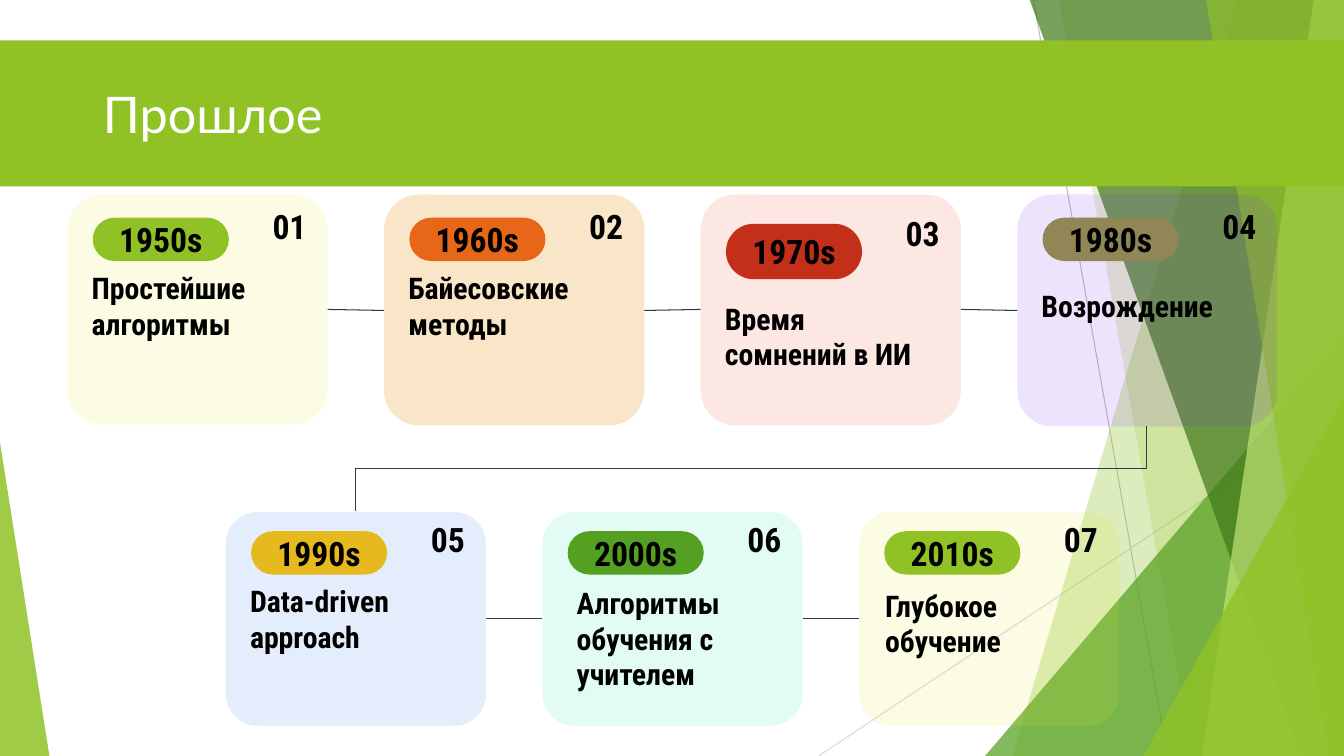
"""Build the timeline slide about the past of artificial intelligence."""
from typing import NamedTuple

from lxml.etree import SubElement
from pptx import Presentation
from pptx.dml.color import RGBColor
from pptx.enum.shapes import MSO_CONNECTOR, MSO_SHAPE
from pptx.enum.text import MSO_ANCHOR, MSO_AUTO_SIZE, PP_ALIGN
from pptx.oxml.ns import qn
from pptx.util import Pt

PX = 9144
WIDTH, HEIGHT = 1333, 750
CARD_WIDTH, CARD_STEP = 258, 314

LIME = RGBColor(0x90, 0xC2, 0x26)
GREEN = RGBColor(0x54, 0xA0, 0x21)
FOREST = RGBColor(0x3F, 0x78, 0x19)
PALE_LIME = RGBColor(0xC0, 0xE4, 0x74)
ORANGE = RGBColor(0xE7, 0x66, 0x18)
RED = RGBColor(0xC4, 0x2F, 0x1A)
OLIVE = RGBColor(0x91, 0x86, 0x55)
GOLD = RGBColor(0xE6, 0xB9, 0x1E)
YELLOW_TINT = RGBColor(0xE4, 0xEA, 0x27)
ORANGE_TINT = RGBColor(0xE9, 0x9B, 0x27)
RED_TINT = RGBColor(0xEA, 0x48, 0x27)
VIOLET_TINT = RGBColor(0x80, 0x27, 0xEA)
BLUE_TINT = RGBColor(0x27, 0x76, 0xEA)
MINT_TINT = RGBColor(0x26, 0xEA, 0xB8)
SLATE = RGBColor(0x2C, 0x3C, 0x43)
GRAY = RGBColor(0xBF, 0xBF, 0xBF)
LIGHT_GRAY = RGBColor(0xD9, 0xD9, 0xD9)
BLACK = RGBColor(0x00, 0x00, 0x00)
WHITE = RGBColor(0xFF, 0xFF, 0xFF)

TITLE_FONT = {"name": "Lato", "size": Pt(36), "bold": False}
LABEL_FONT = {"name": "Roboto Condensed", "size": Pt(24), "bold": True}
CAPTION_FONT = {**LABEL_FONT, "size": Pt(21.3)}
TITLE_FRAME = {"word_wrap": True, "auto_size": MSO_AUTO_SIZE.NONE,
               "vertical_anchor": MSO_ANCHOR.MIDDLE}
CARD_FRAME = {**TITLE_FRAME, **{f"margin_{side}": 13 * PX
                                for side in ("left", "top", "right", "bottom")}}


class Card(NamedTuple):
    """One decade of the timeline, with offsets from the card corner."""
    decade: str
    caption: str
    accent: RGBColor
    tint: RGBColor
    height: int
    opacity: int = 13
    pill_dy: int = 23
    pill_height: int = 43
    caption_dx: int = 11
    caption_dy: int = 66
    caption_height: int = 88
    number_dy: int = 4
    number_height: int = 54


LOWER = {"height": 212, "pill_dy": 19, "number_dy": 0}
UPPER_CARDS = [
    Card("1950s", "Простейшие алгоритмы", LIME, YELLOW_TINT, 228),
    Card("1960s", "Байесовские методы", ORANGE, ORANGE_TINT, 229, opacity=25),
    Card("1970s", "Время сомнений в ИИ", RED, RED_TINT, 229, pill_dy=29,
         pill_height=55, caption_dy=84, caption_height=113, number_height=69),
    Card("1980s", "Возрождение", OLIVE, VIOLET_TINT, 230),
]
LOWER_CARDS = [
    Card("1990s", "Data-driven approach", GOLD, BLUE_TINT, caption_dy=62, **LOWER),
    Card("2000s", "Алгоритмы обучения с учителем", GREEN, MINT_TINT,
         caption_dx=21, caption_dy=81, **LOWER),
    Card("2010s", "Глубокое обучение", LIME, YELLOW_TINT, caption_dx=13, **LOWER),
]


class SlideBuilder:
    """Draws styled elements on the current slide, measured in px."""

    def __init__(self, slide):
        self.slide = slide
        self.shapes = slide.shapes

    def start_group(self):
        self.shapes = self.slide.shapes.add_group_shape().shapes

    def end_group(self):
        self.shapes = self.slide.shapes

    def paint(self, shape, color, opacity=100):
        shape.shadow.inherit = False
        shape.line.fill.background()
        shape.fill.solid()
        shape.fill.fore_color.rgb = color
        if opacity < 100:
            tone = shape.element.spPr.find(qn("a:solidFill"))[0]
            SubElement(tone, qn("a:alpha")).set("val", str(opacity * 1000))

    def preset(self, kind, box, color, opacity=100, adjustment=None):
        shape = self.shapes.add_shape(kind, *(value * PX for value in box))
        if adjustment is not None:
            shape.adjustments[0] = adjustment
        self.paint(shape, color, opacity)
        return shape

    def shard(self, top_x, bottom_x, color, opacity):
        outline = self.shapes.build_freeform(top_x, -1, PX)
        outline.add_line_segments([(WIDTH, -1), (WIDTH, HEIGHT), (bottom_x, HEIGHT)])
        self.paint(outline.convert_to_shape(), color, opacity)

    def line(self, start, end, color=SLATE, kind=MSO_CONNECTOR.STRAIGHT):
        connector = self.shapes.add_connector(kind, *(v * PX for v in (*start, *end)))
        connector.line.color.rgb = color
        connector.line.width = Pt(0.75)
        SubElement(connector.element.spPr, qn("a:effectLst"))
        return connector

    def vertical_elbow(self, start, end):
        center_x, center_y = (start[0] + end[0]) // 2, (start[1] + end[1]) // 2
        half_width, half_height = (end[1] - start[1]) // 2, (start[0] - end[0]) // 2
        elbow = self.line((center_x - half_width, center_y - half_height),
                          (center_x + half_width, center_y + half_height),
                          kind=MSO_CONNECTOR.ELBOW)
        elbow.element.spPr.find(qn("a:xfrm")).set("rot", "5400000")

    def set_text(self, shape, text, font, color=BLACK, align=PP_ALIGN.LEFT, frame=CARD_FRAME):
        shape.text_frame.text = text
        paragraph = shape.text_frame.paragraphs[0]
        paragraph.alignment = align
        run_font = paragraph.runs[0].font
        run_font.color.rgb = color
        for target, values in ((shape.text_frame, frame), (run_font, font)):
            for attribute, value in values.items():
                setattr(target, attribute, value)

    def label(self, box, text, font, align=PP_ALIGN.LEFT):
        label = self.shapes.add_textbox(*(value * PX for value in box))
        self.set_text(label, text, font, align=align)

    def title(self, box, text):
        heading = self.slide.shapes.title
        heading.left, heading.top, heading.width, heading.height = (v * PX for v in box)
        self.set_text(heading, text, TITLE_FONT, WHITE, frame=TITLE_FRAME)
        heading.element.getparent().append(heading.element)

    def backdrop(self):
        self.start_group()
        self.line((1025, 0), (1158, HEIGHT), GRAY)
        self.line((WIDTH, 403), (812, HEIGHT), LIGHT_GRAY)
        self.shard(1228, 1004, LIME, 30)
        self.shard(1050, 1183, LIME, 20)
        self.preset(MSO_SHAPE.ISOSCELES_TRIANGLE, (977, 333, 356, 417), GREEN, 72, 1)
        self.shard(1021, 1291, FOREST, 70)
        self.shard(1303, 1192, PALE_LIME, 70)
        self.shard(1196, 1318, LIME, 65)
        self.preset(MSO_SHAPE.ISOSCELES_TRIANGLE, (1134, 393, 199, 357), LIME, 80, 1)
        self.preset(MSO_SHAPE.ISOSCELES_TRIANGLE, (0, 439, 49, 311), LIME, 85, 0)
        self.end_group()

    def card(self, card, number, left, top):
        self.preset(MSO_SHAPE.ROUNDED_RECTANGLE, (left, top, CARD_WIDTH, card.height),
                    card.tint, card.opacity, 0.15)
        self.start_group()
        pill = self.preset(MSO_SHAPE.ROUNDED_RECTANGLE,
                           (left + 25, top + card.pill_dy, 135, card.pill_height),
                           card.accent, adjustment=0.5)
        self.set_text(pill, card.decade, LABEL_FONT, align=PP_ALIGN.CENTER)
        self.label((left + card.caption_dx, top + card.caption_dy, 214, card.caption_height),
                   card.caption, CAPTION_FONT)
        self.label((left + 185, top + card.number_dy, 65, card.number_height),
                   f"{number:02d}", LABEL_FONT, PP_ALIGN.RIGHT)
        self.end_group()

    def row(self, cards, first_number, left, top, link_heights):
        for index, card in enumerate(cards):
            self.card(card, first_number + index, left + index * CARD_STEP, top)
        for index, (start_y, end_y) in enumerate(link_heights):
            card_left = left + index * CARD_STEP
            self.line((card_left + CARD_WIDTH, start_y), (card_left + CARD_STEP, end_y))


def main():
    deck = Presentation()
    deck.slide_width, deck.slide_height = WIDTH * PX, HEIGHT * PX
    past = SlideBuilder(deck.slides.add_slide(deck.slide_layouts[5]))
    past.backdrop()
    past.preset(MSO_SHAPE.RECTANGLE, (0, 40, WIDTH, 145), LIME)
    past.title((92, 40, 1150, 145), "Прошлое")
    past.row(UPPER_CARDS, 1, 67, 193, [(307, 308), (308, 307), (307, 308)])
    past.row(LOWER_CARDS, 5, 224, 508, [(614, 614)] * 2)
    past.vertical_elbow((1138, 423), (353, 508))
    deck.save("out.pptx")


if __name__ == "__main__":
    main()
